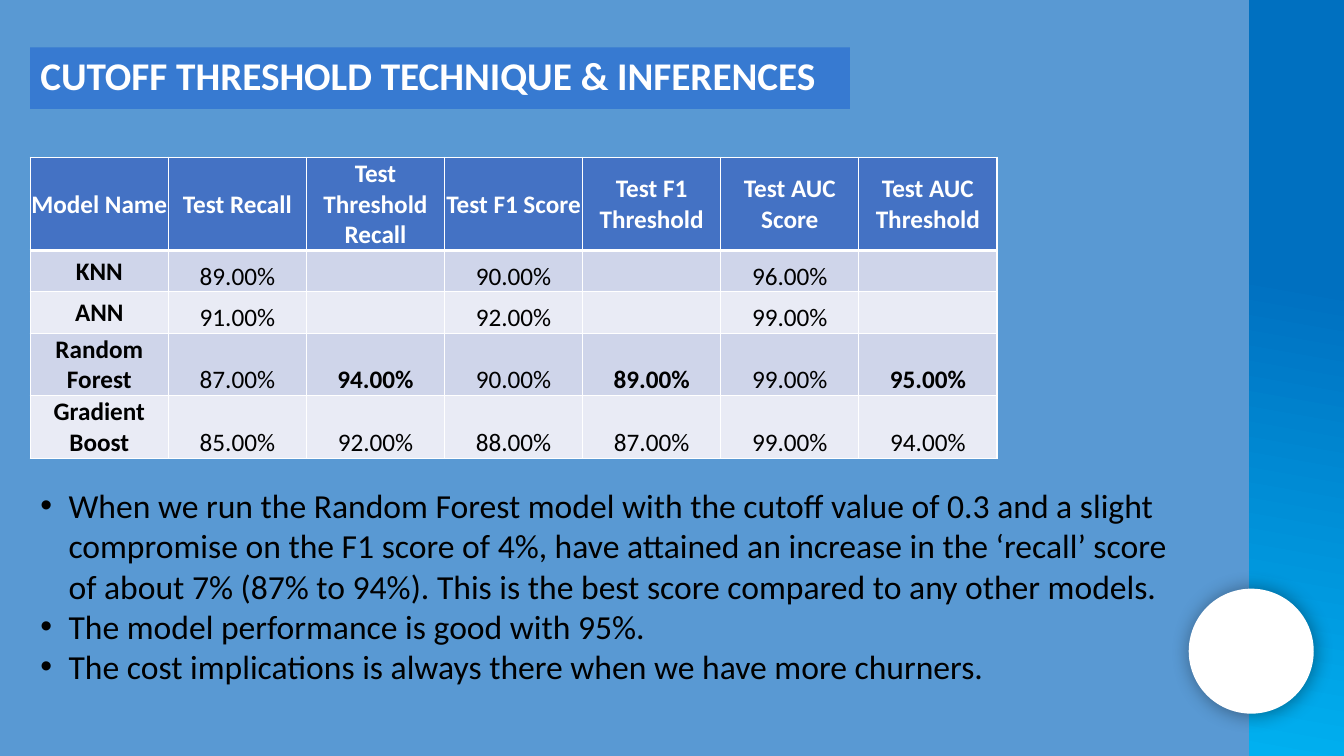
import pptx
import pptx.util
import pptx.dml.color
import pptx.enum.dml
import pptx.enum.shapes
import pptx.enum.text
import pptx.oxml.ns
from lxml import etree

Inches = pptx.util.Inches
Pt = pptx.util.Pt
SHAPE = pptx.enum.shapes.MSO_SHAPE
ANCHOR = pptx.enum.text.MSO_ANCHOR
ALIGN = pptx.enum.text.PP_ALIGN
qn = pptx.oxml.ns.qn

COLORS = {
    "background": "5999D3",
    "band_dark": "0070C0",
    "band_light": "00B0F0",
    "title": "377AD1",
    "header": "4472C4",
    "row_odd": "CFD5EA",
    "row_even": "E9EBF5",
    "white": "FFFFFF",
    "black": "000000",
}
HEADERS = ["Model Name", "Test Recall", "Test Threshold Recall", "Test F1 Score",
           "Test F1 Threshold", "Test AUC Score", "Test AUC Threshold"]
RESULTS = [
    ["KNN", "89.00%", "", "90.00%", "", "96.00%", ""],
    ["ANN", "91.00%", "", "92.00%", "", "99.00%", ""],
    ["Random Forest", "87.00%", "94.00%", "90.00%", "89.00%", "99.00%", "95.00%"],
    ["Gradient Boost", "85.00%", "92.00%", "88.00%", "87.00%", "99.00%", "94.00%"],
]
ROW_HEIGHTS = [0.91, 0.41, 0.41, 0.61, 0.61]
COLUMN_WIDTH = 1.37
BEST_SCORES = {(3, 2), (3, 4), (3, 6)}
INFERENCES = [
    "When we run the Random Forest model with the cutoff value of 0.3 and a slight "
    "compromise on the F1 score of 4%, have attained an increase in the ‘recall’ score "
    "of about 7% (87% to 94%). This is the best score compared to any other models.",
    "The model performance is good with 95%.",
    "The cost implications is always there when we have more churners.",
]


def rgb(name):
    return pptx.dml.color.RGBColor.from_string(COLORS[name])


def fill_solid(fill, color):
    fill.solid()
    fill.fore_color.rgb = rgb(color)


def place(sp, left, top, width, height):
    sp.left, sp.top = Inches(left), Inches(top)
    sp.width, sp.height = Inches(width), Inches(height)


def write(p, text, size=18, color="black", bold=False, align=ALIGN.LEFT, spacing=1.0):
    p.alignment = align
    p.line_spacing = spacing
    p.space_before = Pt(0)
    r = p.add_run()
    r.text = text
    r.font.name = "Calibri"
    r.font.size = Pt(size)
    r.font.bold = bold
    r.font.color.rgb = rgb(color)


def add_decor(s, shape, left, top, width, height):
    sp = s.shapes.add_shape(shape, Inches(left), Inches(top), Inches(width), Inches(height))
    sp.shadow.inherit = False
    sp.line.fill.background()
    return sp


def add_side_band(s):
    sp = add_decor(s, SHAPE.RECTANGLE, 12.39, 0, 0.94, 7.5)
    sp.fill.gradient()
    sp.fill.gradient_angle = 260
    stops = zip(sp.fill.gradient_stops, [(0.37, "band_dark"), (1, "band_light")])
    for stop, (position, color) in stops:
        stop.position = position
        stop.color.rgb = rgb(color)


def add_circle(s):
    sp = add_decor(s, SHAPE.OVAL, 11.79, 5.84, 1.24, 1.24)
    fill_solid(sp.fill, "white")
    effects = sp._element.spPr.find(qn("a:effectLst"))
    shadow = etree.SubElement(effects, qn("a:outerShdw"), blurRad=str(Pt(14)),
                              dist=str(Pt(1)), dir=str(43 * 60000), rotWithShape="0")
    color = etree.SubElement(shadow, qn("a:srgbClr"), val=COLORS["black"])
    etree.SubElement(color, qn("a:alpha"), val="40000")


def set_title(s, text):
    sp = s.shapes.title
    place(sp, 0.3, 0.47, 8.13, 0.61)
    fill_solid(sp.fill, "title")
    tf = sp.text_frame
    tf.auto_size = pptx.enum.text.MSO_AUTO_SIZE.NONE
    tf.vertical_anchor = ANCHOR.MIDDLE
    write(tf.paragraphs[0], text, size=28, color="white", bold=True, spacing=0.9)


def set_inferences(s, items):
    sp = s.placeholders[1]
    place(sp, 0.3, 4.76, 11.46, 2.52)
    tf = sp.text_frame
    tf.auto_size = pptx.enum.text.MSO_AUTO_SIZE.NONE
    for i, text in enumerate(items):
        p = tf.paragraphs[0] if i == 0 else tf.add_paragraph()
        write(p, text, size=24)
        pPr = p._p.get_or_add_pPr()
        pPr.set("marL", str(Inches(0.28)))
        pPr.set("indent", str(-Inches(0.28)))
        etree.SubElement(pPr, qn("a:buFont"), typeface="Arial")
        etree.SubElement(pPr, qn("a:buChar"), char="•")


def set_borders(cell, **widths):
    tcPr = cell._tc.get_or_add_tcPr()
    for side in "LRTB":
        line = etree.SubElement(tcPr, qn("a:ln" + side), w=str(Pt(widths.get(side, 1))))
        fill = etree.SubElement(line, qn("a:solidFill"))
        etree.SubElement(fill, qn("a:srgbClr"), val=COLORS["white"])


def format_cell(cell, text, row, col):
    header = row == 0
    set_borders(cell, B=3 if header else 1, T=3 if row == 1 else 1)
    fill_solid(cell.fill, "header" if header else "row_odd" if row % 2 else "row_even")
    if not text:
        return
    cell.margin_left = cell.margin_right = cell.margin_top = Inches(0.01)
    cell.margin_bottom = 0
    cell.vertical_anchor = ANCHOR.MIDDLE if header or col == 0 else ANCHOR.BOTTOM
    write(cell.text_frame.paragraphs[0], text, color="white" if header else "black",
          bold=header or col == 0 or (row, col) in BEST_SCORES, align=ALIGN.CENTER)


def add_score_table(s, rows):
    frame = s.shapes.add_table(len(rows), len(HEADERS), Inches(0.3), Inches(1.56),
                               Inches(COLUMN_WIDTH * len(HEADERS)), Inches(sum(ROW_HEIGHTS)))
    table = frame.table
    for column in table.columns:
        column.width = Inches(COLUMN_WIDTH)
    for i, values in enumerate(rows):
        table.rows[i].height = Inches(ROW_HEIGHTS[i])
        for j, text in enumerate(values):
            format_cell(table.cell(i, j), text, i, j)


def main():
    prs = pptx.Presentation()
    prs.slide_width, prs.slide_height = Inches(13.33), Inches(7.5)
    s = prs.slides.add_slide(prs.slide_layouts[1])
    fill_solid(s.background.fill, "background")
    add_side_band(s)
    add_circle(s)
    set_title(s, "CUTOFF THRESHOLD TECHNIQUE & INFERENCES")
    add_score_table(s, [HEADERS] + RESULTS)
    set_inferences(s, INFERENCES)
    prs.save("out.pptx")


if __name__ == "__main__":
    main()
